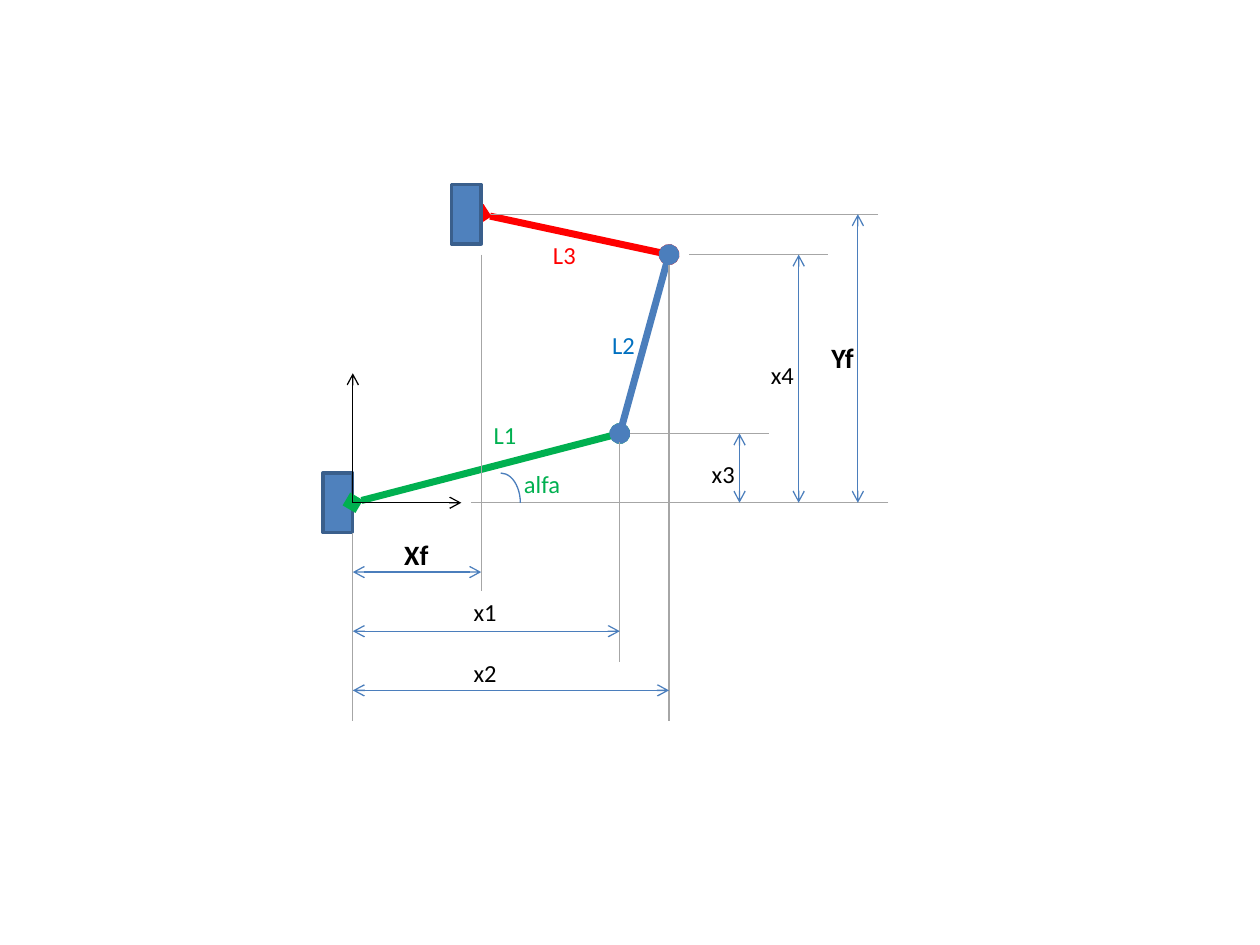
from lxml.etree import SubElement
from pptx import Presentation
from pptx.dml.color import RGBColor
from pptx.enum.shapes import MSO_CONNECTOR, MSO_SHAPE
from pptx.oxml.ns import qn
from pptx.util import Pt

COLORS = {
    "support": "4F81BD", "support_edge": "3A5F8C", "steel": "4B7EBC",
    "green": "00B050", "red": "FF0000", "blue": "0070C0",
    "gray": "A6A6A6", "black": "000000",
}
ORIGIN = (201.6, 287.3)
GROUND, FRAME = (0, 0), (73.4, -164.9)
ELBOW, WRIST = (152.6, -39.6), (180.7, -141.8)


def rgb(name):
    return RGBColor.from_string(COLORS[name])


def place(origin, x, y):
    return Pt(origin[0] + x), Pt(origin[1] + y)


def draw_line(slide, origin, start, end, color, width=0.75, head=None, tail=None):
    line = slide.shapes.add_connector(
        MSO_CONNECTOR.STRAIGHT, *place(origin, *start), *place(origin, *end))
    line.line.color.rgb = rgb(color)
    line.line.width = Pt(width)
    outline = line.line._get_or_add_ln()
    for tag, kind in (("a:headEnd", head), ("a:tailEnd", tail)):
        if kind:
            SubElement(outline, qn(tag), type=kind)
    SubElement(line._element.spPr, qn("a:effectLst"))


def draw_support(slide, origin, pivot):
    support = slide.shapes.add_shape(
        MSO_SHAPE.RECTANGLE, *place(origin, pivot[0] - 17, pivot[1] - 17), Pt(17), Pt(34))
    support.shadow.inherit = False
    support.fill.solid()
    support.fill.fore_color.rgb = rgb("support")
    support.line.color.rgb = rgb("support_edge")
    support.line.width = Pt(2)


def draw_linkage(slide, origin):
    draw_support(slide, origin, GROUND)
    for start, end, color, head in (
        (FRAME, WRIST, "red", "diamond"),
        (GROUND, ELBOW, "green", "diamond"),
        (WRIST, ELBOW, "steel", "oval"),
    ):
        draw_line(slide, origin, start, end, color, 4, head, "oval")
    for tip in ((0, -74), (62, 0)):
        draw_line(slide, origin, GROUND, tip, "black", tail="arrow")
    draw_support(slide, origin, FRAME)


def draw_dimensions(slide, origin):
    for x, top, bottom in (
        (FRAME[0], WRIST[1], 50.4), (0, 17, 124.6),
        (ELBOW[0], -34.6, 90.7), (WRIST[0], -136, 124.6),
    ):
        draw_line(slide, origin, (x, top), (x, bottom), "gray")
    for y, left, right in (
        (FRAME[1], 79.2, 300.2), (0, 67.7, 306),
        (WRIST[1], 192.2, 271.4), (ELBOW[1], 158.4, 237.6),
    ):
        draw_line(slide, origin, (right, y), (left, y), "gray")
    for row, pivot in enumerate((FRAME, ELBOW, WRIST)):
        y = 39.6 + 33.8 * row
        draw_line(slide, origin, (0, y), (pivot[0], y), "steel",
                  head="arrow", tail="arrow")
    for column, pivot in enumerate((ELBOW, WRIST, FRAME)):
        x = 221 + 33.8 * column
        draw_line(slide, origin, (x, pivot[1]), (x, 0), "steel",
                  head="arrow", tail="arrow")


def draw_angle(slide, origin):
    angle = slide.shapes.add_shape(
        MSO_SHAPE.ARC, *place(origin, 73.4, -17), Pt(22.4), Pt(34))
    angle.shadow.inherit = False
    angle.fill.background()
    angle.line.color.rgb = rgb("steel")
    angle.line.width = Pt(0.75)


def write_labels(slide, origin):
    for wording, x, y, color, size, width in (
        ("Xf", 22.3, 16.6, "black", 16, 34),
        ("x1", 61.9, 50.4, "black", 14, 34),
        ("x2", 61.9, 85, "black", 14, 34),
        ("x3", 198, -28.8, "black", 14, 34),
        ("x4", 231.8, -85, "black", 14, 34),
        ("Yf", 266.4, -96.5, "black", 16, 34),
        ("alfa", 90.7, -23, "green", 14, 51),
        ("L1", 73.4, -51.1, "green", 14, 34),
        ("L2", 141.1, -102.2, "blue", 14, 34),
        ("L3", 107.3, -153.4, "red", 14, 34),
    ):
        label = slide.shapes.add_textbox(
            *place(origin, x, y), Pt(width), Pt(26.6 if size == 16 else 24.5))
        label.text_frame.word_wrap = True
        paragraph = label.text_frame.paragraphs[0]
        paragraph.text = wording
        paragraph.font.name = "Calibri"
        paragraph.font.size = Pt(size)
        paragraph.font.bold = size == 16
        paragraph.font.color.rgb = rgb(color)


presentation = Presentation()
presentation.slide_width, presentation.slide_height = Pt(720), Pt(540)
mechanism = presentation.slides.add_slide(presentation.slide_layouts[6])
for draw_region in (draw_linkage, draw_dimensions, draw_angle, write_labels):
    draw_region(mechanism, ORIGIN)
presentation.save("out.pptx")
